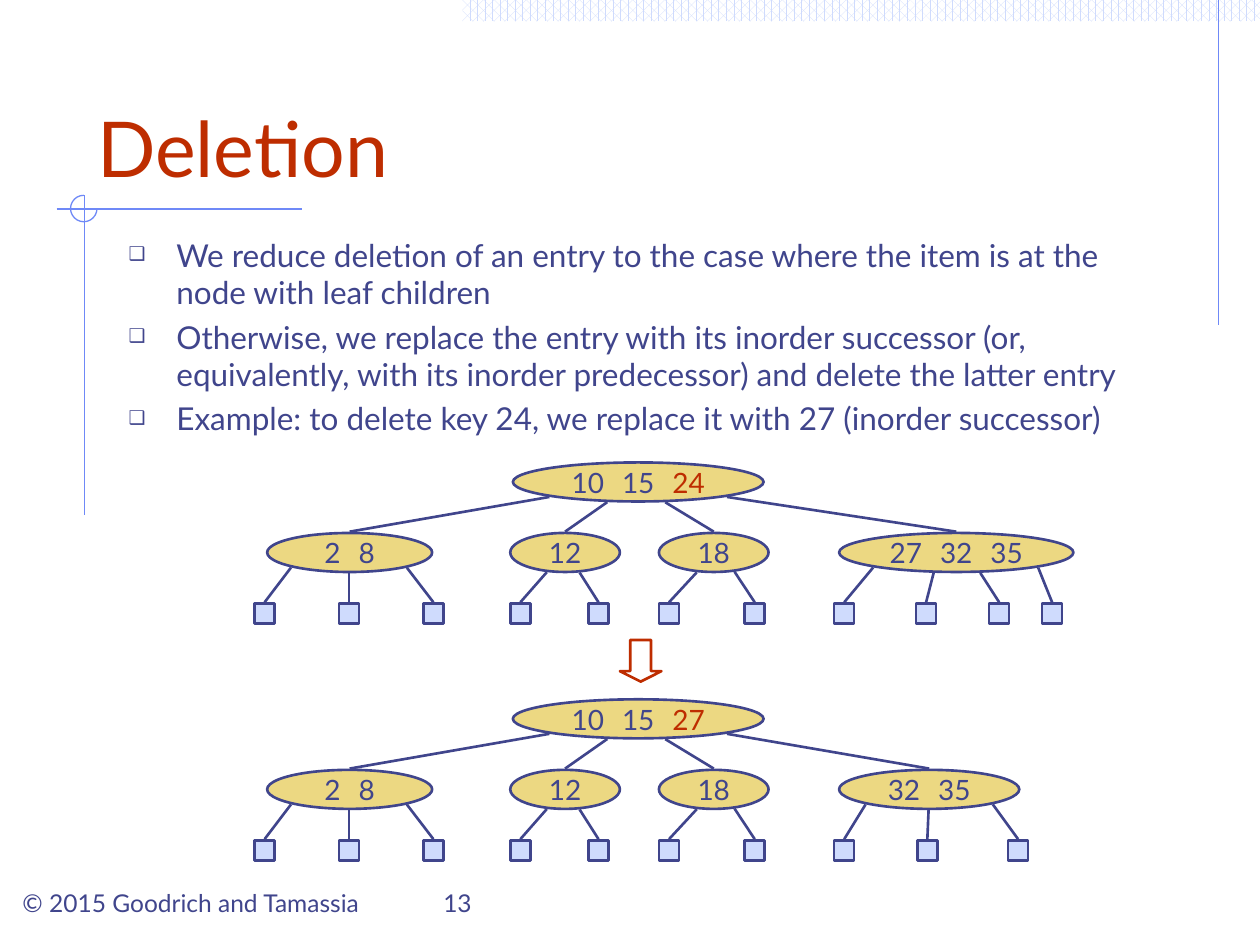
from math import sqrt

from lxml.etree import SubElement
from pptx import Presentation
from pptx.dml.color import RGBColor
from pptx.enum.dml import MSO_PATTERN
from pptx.enum.shapes import MSO_CONNECTOR, MSO_SHAPE
from pptx.enum.text import MSO_ANCHOR, MSO_AUTO_SIZE, PP_ALIGN
from pptx.oxml.ns import qn
from pptx.util import Inches, Pt

COLORS = {
    "text": "40458C", "accent": "BE2D00", "node": "ECD882",
    "leaf": "CFDBFD", "rule": "6F89F7", "white": "FFFFFF",
}
RGB = {name: RGBColor.from_string(value) for name, value in COLORS.items()}

presentation = Presentation()
presentation.slide_width, presentation.slide_height = Inches(10), Inches(7.5)
slide = presentation.slides.add_slide(presentation.slide_layouts[1])


def add_line(x1, y1, x2, y2, color="text", width=1.5):
    line = slide.shapes.add_connector(
        MSO_CONNECTOR.STRAIGHT, Inches(x1), Inches(y1), Inches(x2), Inches(y2))
    line.line.color.rgb = RGB[color]
    line.line.width = Pt(width)
    SubElement(line._element.spPr, qn("a:effectLst"))


def add_run(paragraph, text, size, color="text"):
    run = paragraph.add_run()
    run.text = text
    font_format = {"name": "Lato", "size": Pt(size), "bold": False}
    for name, value in font_format.items():
        setattr(run.font, name, value)
    run.font.color.rgb = RGB[color]
    return run


# Decoration of the page
band = slide.shapes.add_shape(
    MSO_SHAPE.RECTANGLE, Inches(3.67), 0, Inches(6.33), Inches(0.17))
band.shadow.inherit = False
band.line.fill.background()
band.fill.patterned()
band.fill.pattern = MSO_PATTERN.PERCENT_60
band.fill.fore_color.rgb = RGB["leaf"]
band.fill.back_color.rgb = RGB["white"]

for ends in [(9.67, 0, 9.67, 2.58), (0.45, 1.66, 2.4, 1.66), (0.67, 1.55, 0.67, 4.09)]:
    add_line(*ends, color="rule", width=0.75)

arc = slide.shapes.add_shape(
    MSO_SHAPE.ARC, Inches(0.56), Inches(1.55), Inches(0.21), Inches(0.21))
arc.adjustments[0], arc.adjustments[1] = 0, 162  # right side clockwise to the top
arc.shadow.inherit = False
arc.fill.background()
arc.line.color.rgb = RGB["rule"]
arc.line.width = Pt(0.75)

# Title, list and footer
title, body = slide.shapes.title, slide.placeholders[1]
copyright_box = slide.shapes.add_textbox(0, 0, 0, 0)
number_box = slide.shapes.add_textbox(0, 0, 0, 0)
bullets = [
    "We reduce deletion of an entry to the case where the item is at the "
    "node with leaf children",
    "Otherwise, we replace the entry with its inorder successor (or, "
    "equivalently, with its inorder predecessor) and delete the latter entry",
    "Example: to delete key 24, we replace it with 27 (inorder successor)",
]
text_blocks = [
    (title, (0.67, 0.33, 8.75, 1.25), MSO_ANCHOR.BOTTOM, ["Deletion"], 44, "accent"),
    (body, (0.92, 1.82, 8.5, 1.92), MSO_ANCHOR.TOP, bullets, 18, "text"),
    (copyright_box, (0.08, 6.83, 3.92, 0.5), MSO_ANCHOR.BOTTOM,
     ["© 2015 Goodrich and Tamassia"], 14, "text"),
    (number_box, (3.42, 6.83, 3.17, 0.5), MSO_ANCHOR.BOTTOM, ["13"], 14, "text"),
]
for shape, place, anchor, lines, size, color in text_blocks:
    for name, value in zip(("left", "top", "width", "height"), place):
        setattr(shape, name, Inches(value))
    frame = shape.text_frame
    frame.word_wrap = True
    frame.auto_size = MSO_AUTO_SIZE.NONE
    frame.vertical_anchor = anchor
    for index, text in enumerate(lines):
        paragraph = frame.add_paragraph() if index else frame.paragraphs[0]
        paragraph.alignment = PP_ALIGN.LEFT
        if shape is body:
            properties = paragraph._p.get_or_add_pPr()
            properties.set("marL", str(Inches(0.38)))
            properties.set("indent", str(-Inches(0.38)))
            bullet_color = SubElement(properties, qn("a:buClr"))
            SubElement(bullet_color, qn("a:srgbClr"), val=COLORS["text"])
            SubElement(properties, qn("a:buSzPct"), val="60000")
            SubElement(properties, qn("a:buChar"), char="❑")
        paragraph.space_before = Pt(3.6 if index else 0)
        add_run(paragraph, text, size, color)

# Trees: each child has keys, left, width, and (leaf left, edge start x) pairs
NODE_HEIGHT, LEAF_SIZE, LEVEL_GAP = 0.31, 0.16, 0.56
ROOT_LEFT, ROOT_WIDTH = 4.07, 1.99
ROOT_EDGES = [4.36, 4.82, 5.28, 5.77]
shared_children = [
    (["2", "8"], 2.12, 1.31, [(2.02, 2.31), (2.69, 2.77), (3.36, 3.23)]),
    (["12"], 4.05, 0.87, [(4.05, 4.34), (4.67, 4.6)]),
    (["18"], 5.23, 0.87, [(5.23, 5.53), (5.91, 5.83)]),
]
trees = [
    (3.67, ["10", "15", "24"],
     (["27", "32", "35"], 6.66, 1.86,
      [(6.62, 6.93), (7.27, 7.41), (7.85, 7.78), (8.27, 8.24)])),
    (5.55, ["10", "15", "27"],
     (["32", "35"], 6.66, 1.43, [(6.62, 6.87), (7.28, 7.37), (8, 7.88)])),
]
# Kind, place, fill, line, keys, whether the last key is highlighted
tree_shapes = [(MSO_SHAPE.DOWN_ARROW, (4.92, 5.08, 0.33, 0.33), None, "accent", [], False)]
for root_top, root_keys, last_child in trees:
    child_top = root_top + LEVEL_GAP
    leaf_top = child_top + LEVEL_GAP
    nodes = [(root_keys, ROOT_LEFT, ROOT_WIDTH, root_top, [])]
    for child, edge_x in zip(shared_children + [last_child], ROOT_EDGES):
        keys, left, width, leaves = child
        nodes[0][4].append((left + width / 2, edge_x))
        nodes.append((keys, left, width, child_top,
                      [(leaf + LEAF_SIZE / 2, x) for leaf, x in leaves]))
        for leaf, _ in leaves:
            tree_shapes.append((MSO_SHAPE.RECTANGLE, (leaf, leaf_top, LEAF_SIZE, LEAF_SIZE),
                                "leaf", "text", [], False))
    for keys, left, width, top, edges in nodes:
        tree_shapes.append((MSO_SHAPE.OVAL, (left, top, width, NODE_HEIGHT),
                            "node", "text", keys, keys is root_keys))
        for end_x, start_x in edges:
            offset = (start_x - left) / (width / 2) - 1
            start_y = top + NODE_HEIGHT / 2 * (1 + sqrt(1 - offset ** 2)) + 0.01
            add_line(start_x, start_y, end_x, top + LEVEL_GAP - 0.01)

for kind, place, fill, line, keys, highlight in tree_shapes:
    shape = slide.shapes.add_shape(kind, *map(Inches, place))
    shape.shadow.inherit = False
    shape.line.color.rgb = RGB[line]
    shape.line.width = Pt(1.5)
    if fill:
        shape.fill.solid()
        shape.fill.fore_color.rgb = RGB[fill]
    else:
        shape.fill.background()
        shape.adjustments[0], shape.adjustments[1] = 0.5, 0.25
    if keys:
        shape.text_frame.word_wrap = False
        shape.text_frame.vertical_anchor = MSO_ANCHOR.MIDDLE
        paragraph = shape.text_frame.paragraphs[0]
        paragraph.alignment = PP_ALIGN.CENTER
        for index, key in enumerate(keys):
            if index:
                gap = add_run(paragraph, " ", 16)
                gap.font._element.set("spc", "620")  # widens the space between keys
            is_last = index == len(keys) - 1
            add_run(paragraph, key, 16, "accent" if highlight and is_last else "text")

presentation.save("out.pptx")
